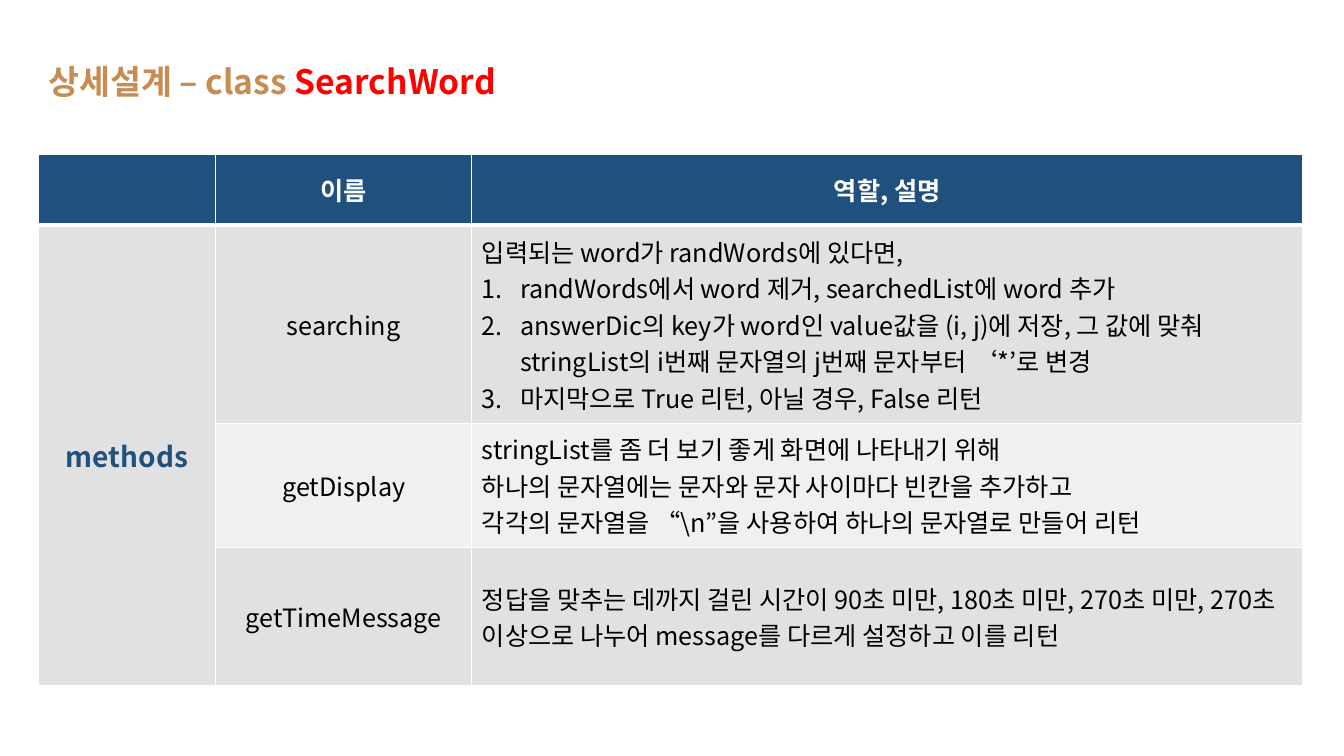
from lxml.etree import SubElement
from pptx import Presentation
from pptx.dml.color import RGBColor as RGB
from pptx.enum.text import MSO_ANCHOR as ANCHOR, MSO_AUTO_SIZE as AUTO, PP_ALIGN as ALIGN
from pptx.oxml import parse_xml
from pptx.oxml.ns import nsdecls, qn
from pptx.util import Inches, Pt

COLORS = {"title": "C68C52", "accent": "FF0000", "header": "20517E", "white": "FFFFFF",
          "text": "000000", "odd": "E1E1E1", "even": "F0F0F0"}
FONT = "Noto Sans CJK KR"

HEADINGS = ["", "이름", "역할, 설명"]
METHODS = [
    ("searching", [
        "입력되는 word가 randWords에 있다면,",
        "#randWords에서 word 제거, searchedList에 word 추가",
        "#answerDic의 key가 word인 value값을 (i, j)에 저장, 그 값에 맞춰 "
        "stringList의 i번째 문자열의 j번째 문자부터 ‘*’로 변경",
        "#마지막으로 True 리턴, 아닐 경우, False 리턴"]),
    ("getDisplay", [
        "stringList를 좀 더 보기 좋게 화면에 나타내기 위해",
        "하나의 문자열에는 문자와 문자 사이마다 빈칸을 추가하고",
        "각각의 문자열을 “\\n”을 사용하여 하나의 문자열로 만들어 리턴"]),
    ("getTimeMessage", [
        "정답을 맞추는 데까지 걸린 시간이 90초 미만, 180초 미만, 270초 미만, "
        "270초 이상으로 나누어 message를 다르게 설정하고 이를 리턴"]),
]


class Deck:
    def __init__(self):
        self.prs = Presentation()
        self.prs.slide_width, self.prs.slide_height = Inches(13.33), Inches(7.5)
        self.s = self.prs.slides.add_slide(self.prs.slide_layouts[5])

    def style(self, font, size, color, bold=False):
        font.size, font.bold = Pt(size), bold
        font.color.rgb = RGB.from_string(COLORS[color])
        font.name = FONT
        SubElement(font._rPr, qn("a:ea")).set("typeface", FONT)

    def title(self, runs, left, top, width, height):
        sp = self.s.shapes.title
        sp.left, sp.top, sp.width, sp.height = map(Inches, (left, top, width, height))
        tf = sp.text_frame
        tf.word_wrap, tf.auto_size = False, AUTO.SHAPE_TO_FIT_TEXT
        tf.vertical_anchor = ANCHOR.TOP
        p = tf.paragraphs[0]
        p.alignment = ALIGN.LEFT
        for text, color in runs:
            r = p.add_run()
            r.text = text
            self.style(r.font, 24, color, True)

    def table(self, left, top, cols, rows):
        frame = self.s.shapes.add_table(len(rows), len(cols), Inches(left), Inches(top),
                                        Inches(sum(cols)), Inches(sum(rows)))
        table = frame.table
        for col, width in zip(table.columns, cols):
            col.width = Inches(width)
        for row, height in zip(table.rows, rows):
            row.height = Inches(height)
        return table

    def cell(self, cell, lines, fill, size=18, color="text", bold=False,
             align=ALIGN.CENTER, bottom=1):
        cell.fill.solid()
        cell.fill.fore_color.rgb = RGB.from_string(COLORS[fill])
        cell.vertical_anchor = ANCHOR.MIDDLE
        self.borders(cell, bottom)
        tf = cell.text_frame
        for i, line in enumerate(lines):
            p = tf.add_paragraph() if i else tf.paragraphs[0]
            p.text = line.removeprefix("#")
            p.alignment = align
            self.style(p.font, size, color, bold)
            if line.startswith("#"):
                self.number(p)

    def borders(self, cell, bottom):
        tcPr = cell._tc.get_or_add_tcPr()
        for i, (side, width) in enumerate(zip("LRTB", (1, 1, 1, bottom))):
            tcPr.insert(i, parse_xml(
                f'<a:ln{side} {nsdecls("a")} w="{Pt(width)}"><a:solidFill>'
                f'<a:srgbClr val="{COLORS["white"]}"/></a:solidFill></a:ln{side}>'))

    def number(self, p):
        pPr = p._p.get_or_add_pPr()
        pPr.set("marL", str(Inches(0.38)))
        pPr.set("indent", str(-Inches(0.38)))
        pPr.insert(0, parse_xml(f'<a:buAutoNum {nsdecls("a")} type="arabicPeriod"/>'))


def main():
    deck = Deck()
    deck.title([("상세설계 – class ", "title"), ("SearchWord", "accent")], 0.38, 0.55, 4.77, 0.5)
    table = deck.table(0.38, 1.53, [1.76, 2.54, 8.24], [0.7, 1.97, 1.23, 1.37])
    for col, heading in enumerate(HEADINGS):
        deck.cell(table.cell(0, col), [heading], "header", color="white", bold=True, bottom=3)
    for row, (name, lines) in enumerate(METHODS, 1):
        fill = "odd" if row % 2 else "even"
        deck.cell(table.cell(row, 0), ["methods"] if row == 1 else [], "odd", 20, "header", True)
        deck.cell(table.cell(row, 1), [name], fill)
        deck.cell(table.cell(row, 2), lines, fill, align=ALIGN.LEFT)
    table.cell(1, 0).merge(table.cell(len(METHODS), 0))
    deck.prs.save("out.pptx")


if __name__ == "__main__":
    main()
